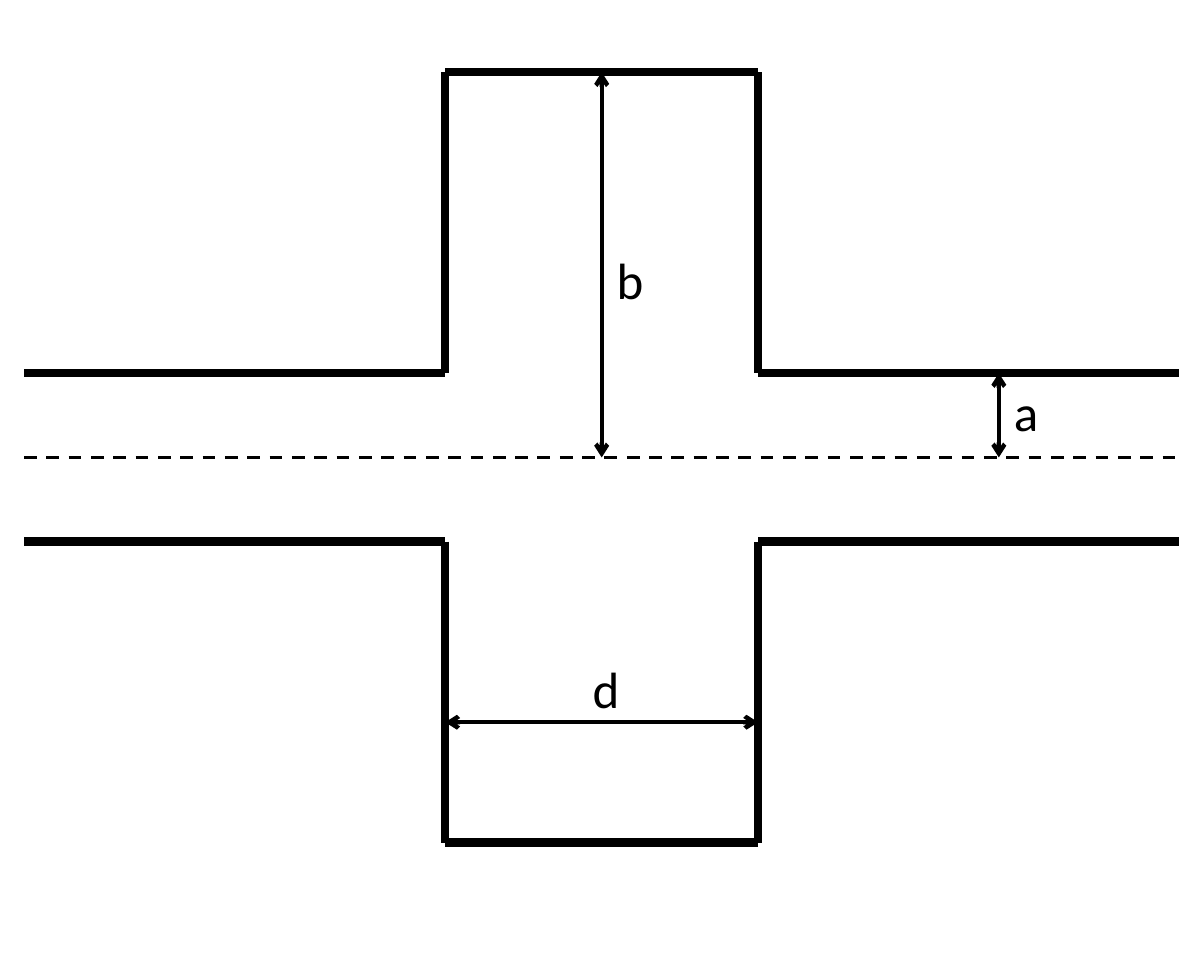
from lxml import etree
from pptx import Presentation
from pptx.dml.color import RGBColor
from pptx.enum.dml import MSO_LINE
from pptx.enum.shapes import MSO_CONNECTOR
from pptx.enum.text import MSO_AUTO_SIZE
from pptx.oxml.ns import qn
from pptx.util import Cm, Pt

STRAIGHT = MSO_CONNECTOR.STRAIGHT
DASH = MSO_LINE.DASH
GROW = MSO_AUTO_SIZE.SHAPE_TO_FIT_TEXT
NO_GROW = MSO_AUTO_SIZE.NONE
COLORS = {"ink": "000000"}
INK = RGBColor.from_string(COLORS["ink"])

presentation = Presentation()
presentation.slide_width = Cm(20.01)
presentation.slide_height = Cm(16)
slide = presentation.slides.add_slide(presentation.slide_layouts[6])


def add_line(start, end, width, arrows=False):
    connector = slide.shapes.add_connector(
        STRAIGHT, Cm(start[0]), Cm(start[1]), Cm(end[0]), Cm(end[1]))
    connector.line.color.rgb = INK
    connector.line.width = Pt(width)
    if arrows:
        outline = connector.line._get_or_add_ln()
        for tag in ("a:headEnd", "a:tailEnd"):
            etree.SubElement(outline, qn(tag), type="arrow")
    etree.SubElement(connector._element.spPr, qn("a:effectLst"))
    return connector


pipe_left, pipe_right = 0.4, 19.6
cavity_left, cavity_right = 7.4, 12.6
cavity_center = (cavity_left + cavity_right) / 2
axis = 7.6
pipe_radius, cavity_radius = 1.4, 6.4
pipe_top, cavity_top = axis - pipe_radius, axis - cavity_radius
radius_x, length_y = 16.6, 12

for side in (-1, 1):
    pipe_wall = axis + side * pipe_radius
    cavity_wall = axis + side * cavity_radius
    outline_points = [
        (pipe_left, pipe_wall), (cavity_left, pipe_wall),
        (cavity_left, cavity_wall), (cavity_right, cavity_wall),
        (cavity_right, pipe_wall), (pipe_right, pipe_wall),
    ]
    for start, end in zip(outline_points, outline_points[1:]):
        add_line(start, end, 4)

add_line((radius_x, axis), (radius_x, pipe_top), 2, arrows=True)
add_line((cavity_center, axis), (cavity_center, cavity_top), 2, arrows=True)
add_line((cavity_left, length_y), (cavity_right, length_y), 2, arrows=True)
axis_line = add_line((pipe_left, axis), (pipe_right, axis), 1.5)
axis_line.line.dash_style = DASH

labels = [
    ("a", radius_x, pipe_top, 0.92),
    ("b", cavity_center, 4, 0.96),
    ("d", 9.6, 10.8, 0.96),
]
font_format = {"name": "Calibri", "size": Pt(24)}
for text, left, top, width in labels:
    label = slide.shapes.add_textbox(Cm(left), Cm(top), Cm(width), Cm(1.28))
    label.text_frame.word_wrap = False
    label.text_frame.auto_size = GROW
    run = label.text_frame.paragraphs[0].add_run()
    run.text = text
    for attribute, value in font_format.items():
        setattr(run.font, attribute, value)
    run.font.color.rgb = INK

presentation.save("out.pptx")
